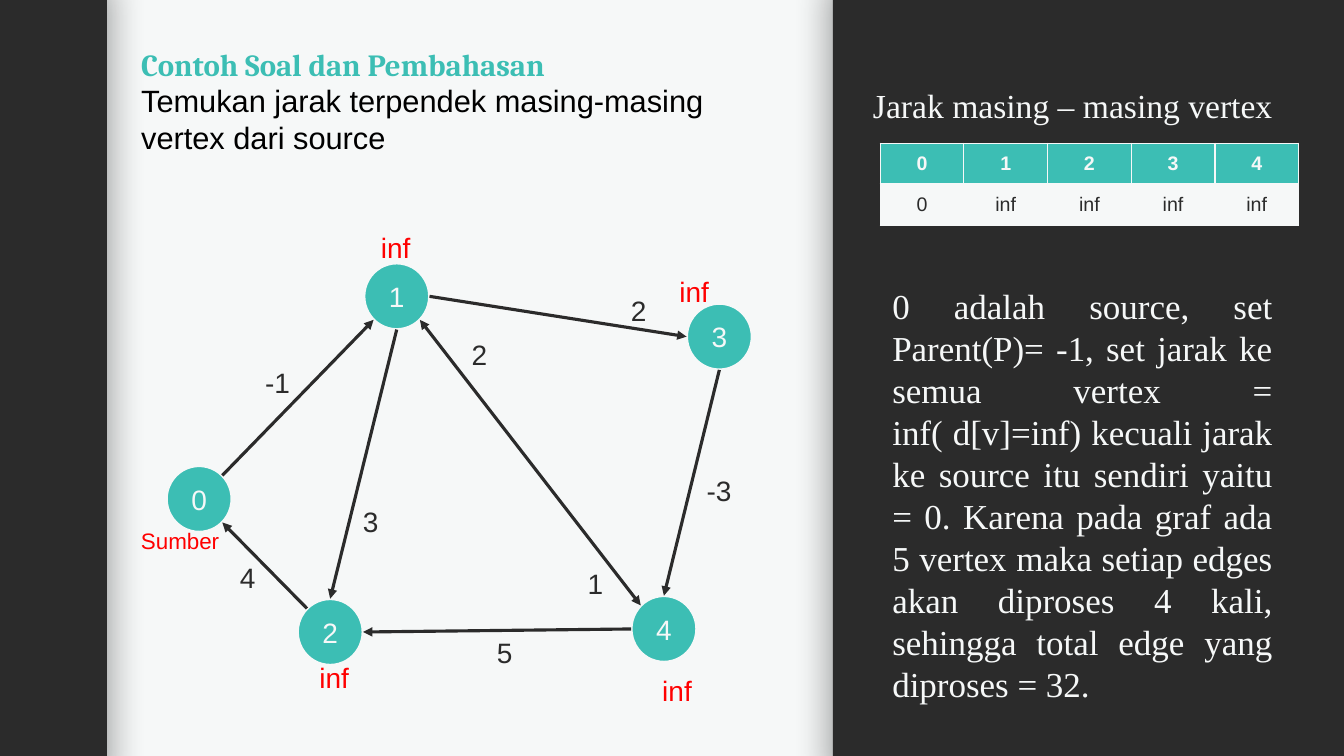
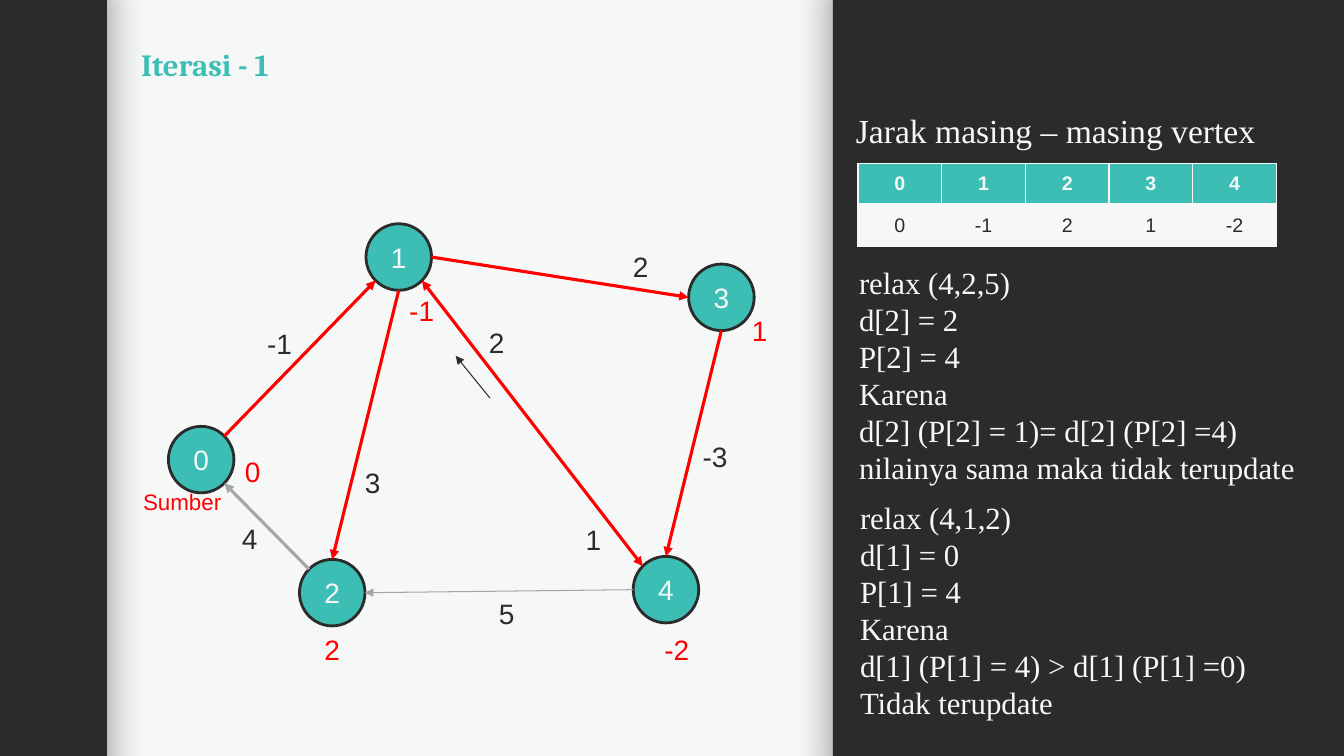
from dataclasses import dataclass

from lxml import etree
from pptx import Presentation
from pptx import util as u
from pptx.dml.color import RGBColor
from pptx.enum import shapes, text
from pptx.oxml import parse_xml
from pptx.oxml.ns import nsdecls, qn


@dataclass(frozen=True)
class Theme:
    teal: str = "3CBEB4"
    light: str = "F6F8F8"
    dark: str = "2B2B2B"
    red: str = "FF0000"
    grey: str = "A6A6A6"
    black: str = "000000"
    sans: str = "Arial"
    serif: str = "Times New Roman"
    display: str = "Cambria"
    cell: int = 14
    source: int = 16
    label: int = 20
    text: int = 22
    heading: int = 24
    note: int = 25


THEME = Theme()
LEFT, CENTER, JUSTIFY = text.PP_ALIGN.LEFT, text.PP_ALIGN.CENTER, text.PP_ALIGN.JUSTIFY

# Shared content: boxes are left, top, width, height in inches.
TITLE_BOX = (1.3, 0.4, 6.21, 0.47)
BANDS = [(0, -0.18, 1.06, 7.94), (8.26, -0.18, 5.07, 7.94)]
TABLE_HEADING = "Jarak masing – masing vertex"
VERTICES = ["0", "1", "2", "3", "4"]
COLUMN, ROW = 0.83, 0.41

# The graph, placed as on the first slide; later slides shift it.
NODE_SIZE = (0.65, 0.66)
NODES = {"1": (3.61, 2.61), "2": (2.95, 5.94), "0": (1.65, 4.62),
         "3": (6.81, 3.01), "4": (6.26, 5.91)}
DIAGONAL = 0.5 ** 0.5
SIDES = {"top": (0, -1), "bottom": (0, 1), "left": (-1, 0), "right": (1, 0),
         "top left": (-DIAGONAL, -DIAGONAL), "top right": (DIAGONAL, -DIAGONAL),
         "bottom left": (-DIAGONAL, DIAGONAL), "bottom right": (DIAGONAL, DIAGONAL)}
EDGES = [("2", "top left", "0", "bottom right"), ("0", "top right", "1", "bottom left"),
         ("1", "right", "3", "left"), ("1", "bottom", "2", "top"),
         ("3", "bottom", "4", "top"), ("4", "left", "2", "right"),
         ("1", "bottom right", "4", "top left")]
TWO_WAY = {("1", "4")}
WEIGHTS = [("-1", 2.53, 3.58), ("4", 2.28, 5.51), ("3", 3.5, 4.96), ("5", 4.83, 6.26)]
SOURCE = ("Sumber", 1.3, 5.18)
LABEL_WIDTHS = {1: 0.36, 2: 0.45, 3: 0.5, 6: 0.99}

SLIDES = [
    {
        "title": "Contoh Soal dan Pembahasan",
        "bodies": [
            ((1.3, 0.76, 6.21, 0.85),
             ["Temukan jarak terpendek masing-masing vertex dari source"],
             dict(font=THEME.sans, color=THEME.black)),
            ((8.75, 2.77, 3.97, 4.73),
             ["0 adalah source, set Parent(P)= -1, set jarak ke semua vertex = "
              "inf( d[v]=inf) kecuali jarak ke source itu sendiri yaitu = 0. "
              "Karena pada graf ada 5 vertex maka setiap edges akan diproses 4 kali, "
              "sehingga total edge yang diproses = 32."],
             dict(size=THEME.note, align=JUSTIFY)),
        ],
        "heading": (8.56, 0.79, 4.69, 0.5),
        "table": (8.73, 1.42),
        "distances": ["0", "inf", "inf", "inf", "inf"],
        "shift": (0, 0),
        "outline": THEME.light,
        "edge": THEME.dark,
        "unused": {},
        "weights": [("2", 4.58, 3.3), ("2", 6.16, 2.86), ("1", 5.73, 5.57), ("-3", 6.91, 4.65)],
        "marks": [("inf", 6.64, 2.67), ("inf", 3.68, 2.24), ("inf", 3.07, 6.5),
                  ("inf", 6.47, 6.63)],
        "pointers": [],
    },
    {
        "title": "Iterasi - 1",
        "bodies": [
            ((8.42, 2.57, 4.84, 2.32),
             ["relax (4,2,5)", "d[2] = 2", "P[2] = 4", "Karena",
              "d[2] (P[2] = 1)= d[2] (P[2] =4)", "nilainya sama maka tidak terupdate"], {}),
            ((8.43, 4.9, 4.84, 2.32),
             ["relax (4,1,2)", "d[1] = 0", "P[1] = 4", "Karena",
              "d[1] (P[1] = 4) > d[1] (P[1] =0)", "Tidak terupdate"], {}),
        ],
        "heading": (8.39, 1.04, 4.69, 0.5),
        "table": (8.51, 1.62),
        "distances": ["0", "-1", "2", "1", "-2"],
        "shift": (0.02, -0.39),
        "outline": THEME.dark,
        "edge": THEME.red,
        "unused": {("2", "0"): 2.25, ("4", "2"): 0.75},
        "weights": [("2", 4.75, 3.18), ("2", 6.18, 2.43), ("1", 5.71, 5.13), ("-3", 6.87, 4.31)],
        "marks": [("2", 3.12, 6.23), ("-2", 6.49, 6.23), ("-1", 3.96, 2.86),
                  ("1", 7.36, 3.06), ("0", 2.33, 4.46)],
        "pointers": [((4.86, 3.95), (4.52, 3.53))],
    },
]


def rgb(color):
    return RGBColor.from_string(color)


def inches(values):
    return [u.Inches(value) for value in values]


def place(shape, box):
    shape.left, shape.top, shape.width, shape.height = inches(box)


def write(frame, lines, font=THEME.serif, size=THEME.text, color=THEME.light, bold=False,
          align=LEFT, anchor=text.MSO_ANCHOR.TOP, wrap=True):
    frame.word_wrap = wrap
    frame.auto_size = text.MSO_AUTO_SIZE.NONE
    frame.vertical_anchor = anchor
    for index, line in enumerate(lines):
        para = frame.add_paragraph() if index else frame.paragraphs[0]
        para.alignment = align
        para.space_before = u.Pt(0)
        properties = para._p.get_or_add_pPr()
        properties.set("marL", "0")
        properties.set("indent", "0")
        etree.SubElement(properties, qn("a:buNone"))
        span = para.add_run()
        span.text = line
        span.font.name, span.font.size, span.font.bold = font, u.Pt(size), bold
        span.font.color.rgb = rgb(color)


def add_text(slide, box, line, **style):
    write(slide.shapes.add_textbox(*inches(box)).text_frame, [line], **style)


def add_label(slide, line, left, top, size=THEME.label, color=THEME.dark):
    box = (left, top, LABEL_WIDTHS[len(line)], 0.44)
    add_text(slide, box, line, font=THEME.sans, size=size, color=color, wrap=False)


def add_arrow(slide, start, end, color, width, both=False):
    line = slide.shapes.add_connector(shapes.MSO_CONNECTOR.STRAIGHT, *inches(start + end))
    line.line.color.rgb = rgb(color)
    line.line.width = u.Pt(width)
    outline = line.line._get_or_add_ln()
    for end_name in ["a:headEnd", "a:tailEnd"] if both else ["a:tailEnd"]:
        etree.SubElement(outline, qn(end_name)).set("type", "triangle")
    etree.SubElement(line.element.spPr, qn("a:effectLst"))


def add_bands(slide, layout):
    """Draw the dark side bands and move them to the shared layout."""
    for index, box in enumerate(BANDS):
        band = slide.shapes.add_shape(shapes.MSO_SHAPE.RECTANGLE, *inches(box))
        band.fill.solid()
        band.fill.fore_color.rgb = rgb(THEME.dark)
        band.line.fill.background()
        band.element.spPr.append(parse_xml(
            f'<a:effectLst {nsdecls("a")}><a:outerShdw blurRad="{u.Pt(28)}" dist="0" '
            f'dir="5400000" algn="ctr" rotWithShape="0"><a:srgbClr val="{THEME.black}">'
            '<a:alpha val="43000"/></a:srgbClr></a:outerShdw></a:effectLst>'))
        band.element.nvSpPr.cNvPr.set("id", str(90 + index))
        layout.shapes.element.insert(2 + index, band.element)


def add_table(slide, corner, distances):
    rows = [VERTICES, distances]
    size = (COLUMN * len(VERTICES), ROW * len(rows))
    table = slide.shapes.add_table(len(rows), len(VERTICES), *inches(corner + size)).table
    table.horz_banding = False
    for row, values in enumerate(rows):
        header = row == 0
        for column, value in enumerate(values):
            cell = table.cell(row, column)
            cell.vertical_anchor = text.MSO_ANCHOR.MIDDLE
            cell.fill.solid()
            cell.fill.fore_color.rgb = rgb(THEME.teal if header else THEME.light)
            write(cell.text_frame, [value], font=THEME.sans, size=THEME.cell, bold=header,
                  color=THEME.light if header else THEME.dark, align=CENTER,
                  anchor=text.MSO_ANCHOR.MIDDLE)
            for index, side in enumerate("LRTB"):
                width = 3 if header and side == "B" else 1
                cell._tc.get_or_add_tcPr().insert(index, parse_xml(
                    f'<a:ln{side} {nsdecls("a")} w="{u.Pt(width)}"><a:solidFill>'
                    f'<a:srgbClr val="{THEME.light}"/></a:solidFill></a:ln{side}>'))


def add_graph(slide, content):
    shift_x, shift_y = content["shift"]

    def moved(left, top):
        return left + shift_x, top + shift_y

    def rim(node, side):
        """Return the point where an edge meets a node's outline."""
        corner = moved(*NODES[node])
        return tuple(start + length / 2 * (1 + step)
                     for start, length, step in zip(corner, NODE_SIZE, SIDES[side]))

    for name, corner in NODES.items():
        node = slide.shapes.add_shape(shapes.MSO_SHAPE.OVAL, *inches(moved(*corner) + NODE_SIZE))
        node.shadow.inherit = False
        node.fill.solid()
        node.fill.fore_color.rgb = rgb(THEME.teal)
        node.line.color.rgb = rgb(content["outline"])
        node.line.width = u.Pt(2)
        write(node.text_frame, [name], font=THEME.sans, size=THEME.label, align=CENTER,
              anchor=text.MSO_ANCHOR.MIDDLE)
    for start, start_side, end, end_side in EDGES:
        edge = (start, end)
        color = THEME.grey if edge in content["unused"] else content["edge"]
        add_arrow(slide, rim(start, start_side), rim(end, end_side), color,
                  content["unused"].get(edge, 2.25), both=edge in TWO_WAY)
    for start, end in content["pointers"]:
        add_arrow(slide, start, end, THEME.dark, 0.75)

    for weight, left, top in WEIGHTS:
        add_label(slide, weight, *moved(left, top))
    for weight in content["weights"]:
        add_label(slide, *weight)
    for mark in content["marks"]:
        add_label(slide, *mark, color=THEME.red)
    add_label(slide, SOURCE[0], *moved(*SOURCE[1:]), size=THEME.source, color=THEME.red)


def add_slide(deck, layout, content):
    slide = deck.slides.add_slide(layout)
    title, *bodies = slide.placeholders
    write(title.text_frame, [content["title"]], font=THEME.display, color=THEME.teal, bold=True)
    for body, (box, lines, style) in zip(bodies, content["bodies"]):
        place(body, box)
        write(body.text_frame, lines, **style)
    add_graph(slide, content)
    add_text(slide, content["heading"], TABLE_HEADING, size=THEME.heading)
    add_table(slide, content["table"], content["distances"])
    return slide


def main():
    deck = Presentation()
    deck.slide_width, deck.slide_height = inches((13.33, 7.5))
    background = deck.slide_master.background.fill
    background.solid()
    background.fore_color.rgb = rgb(THEME.light)
    layout = deck.slide_layouts.get_by_name("Two Content")
    place(layout.placeholders[0], TITLE_BOX)
    pages = [add_slide(deck, layout, content) for content in SLIDES]
    add_bands(pages[0], layout)
    deck.save("out.pptx")


if __name__ == "__main__":
    main()
